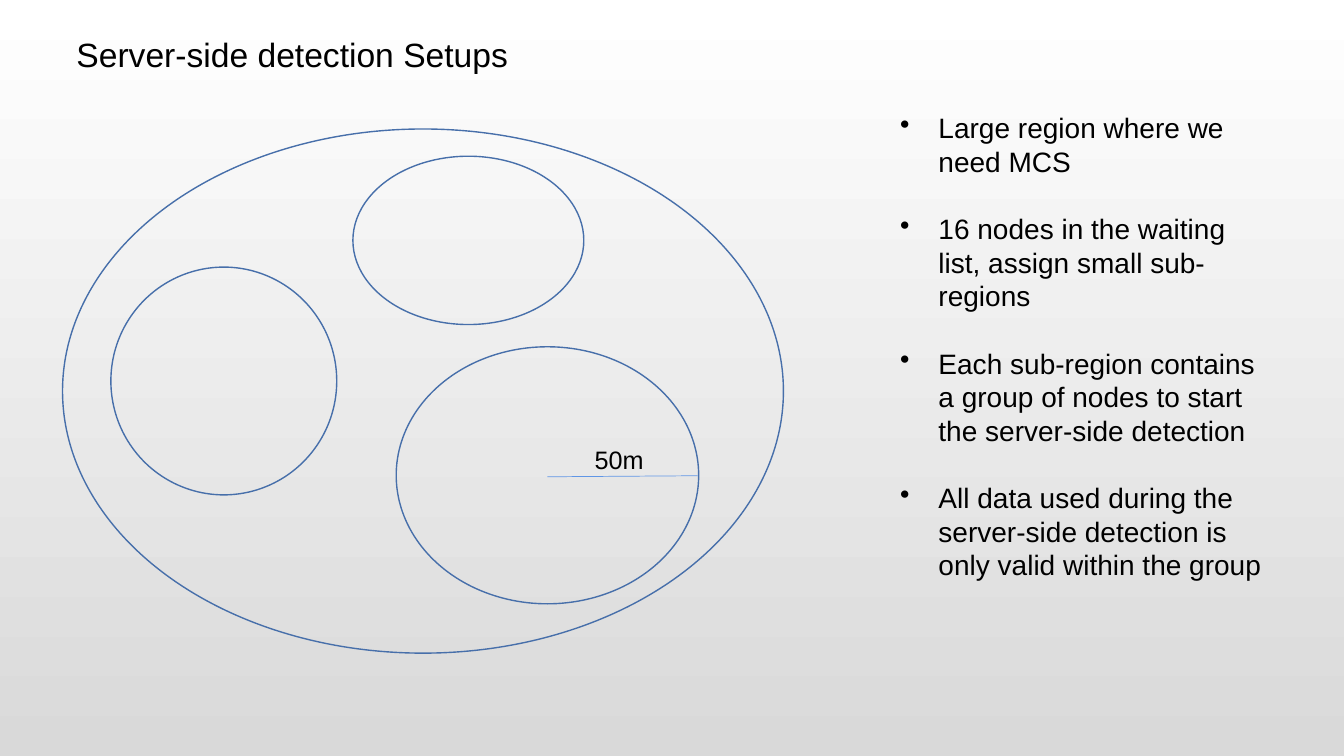
"""Build the slide on server-side detection setups."""
import dataclasses

import lxml.etree
import pptx
import pptx.dml.color
import pptx.enum.shapes
import pptx.enum.text
import pptx.oxml.ns
import pptx.slide
import pptx.text.text
import pptx.util

Inches = pptx.util.Inches
Pt = pptx.util.Pt
qn = pptx.oxml.ns.qn

HUES = {"top": "FFFFFF", "base": "D9D9D9", "text": "000000",
        "ring": "476FAA", "span": "6096E6"}
FONT = "Arial"
INDENT = 0.38


@dataclasses.dataclass
class Box:
    left: float
    top: float
    width: float
    height: float

    def place(self) -> list[pptx.util.Length]:
        return [Inches(n) for n in dataclasses.astuple(self)]


@dataclasses.dataclass
class Label:
    box: Box
    size: int
    lines: list[str]


REGIONS = [
    Box(0.62, 1.28, 7.15, 5.2),
    Box(1.1, 2.65, 2.24, 2.26),
    Box(3.5, 1.55, 2.29, 1.67),
    Box(3.93, 3.44, 3, 2.55),
]
TITLE = Label(Box(0.66, 0.29, 9.05, 0.5), 24, ["Server-side detection Setups"])
RADIUS = Label(Box(5.8, 4.36, 0.73, 0.4), 18, ["50m"])
NOTES = Label(Box(8.83, 1.05, 3.87, 4.48), 20, [
    "Large region where we need MCS",
    "16 nodes in the waiting list, assign small sub-regions",
    "Each sub-region contains a group of nodes to start the server-side detection",
    "All data used during the server-side detection is only valid within the group",
])


def hue(name: str) -> pptx.dml.color.RGBColor:
    return pptx.dml.color.RGBColor.from_string(HUES[name])


def shade(slide: pptx.slide.Slide) -> None:
    fill = slide.background.fill
    fill.gradient()
    fill.gradient_angle = 270
    for stop, name, spot in zip(fill.gradient_stops, ("top", "base"), (0, 1)):
        stop.color.rgb = hue(name)
        stop.position = spot


def draw_ring(slide: pptx.slide.Slide, box: Box) -> None:
    ring = slide.shapes.add_shape(pptx.enum.shapes.MSO_SHAPE.OVAL, *box.place())
    ring.shadow.inherit = False
    ring.fill.background()
    ring.line.color.rgb = hue("ring")
    ring.line.width = Pt(1)


def draw_span(slide: pptx.slide.Slide) -> None:
    ends = [Inches(n) for n in (5.43, 4.73, 6.92, 4.72)]
    span = slide.shapes.add_connector(pptx.enum.shapes.MSO_CONNECTOR.STRAIGHT, *ends)
    span.line.color.rgb = hue("span")
    span.line.width = Pt(0.5)
    lxml.etree.SubElement(span._element.spPr, qn("a:effectLst"))


def write(slide: pptx.slide.Slide, label: Label) -> pptx.text.text.TextFrame:
    frame = slide.shapes.add_textbox(*label.box.place()).text_frame
    frame.word_wrap = True
    frame.auto_size = pptx.enum.text.MSO_AUTO_SIZE.SHAPE_TO_FIT_TEXT
    frame.text = "\n".join(label.lines)
    for para in frame.paragraphs:
        para.font.name = FONT
        para.font.size = Pt(label.size)
        para.font.color.rgb = hue("text")
    return frame


def add_dots(frame: pptx.text.text.TextFrame) -> None:
    for rank, para in enumerate(frame.paragraphs):
        para.line_spacing = Pt(24)
        para.space_before = Pt(24 if rank else 0)
        props = para._p.get_or_add_pPr()
        props.set("marL", str(Inches(INDENT)))
        props.set("indent", str(Inches(-INDENT)))
        dot = lxml.etree.Element(qn("a:buChar"), char="•")
        props.insert_element_before(dot, "a:tabLst", "a:defRPr", "a:extLst")


def main() -> None:
    deck = pptx.Presentation()
    deck.slide_width, deck.slide_height = Inches(13.33), Inches(7.5)
    slide = deck.slides.add_slide(deck.slide_layouts[6])
    shade(slide)
    write(slide, TITLE)
    for box in REGIONS:
        draw_ring(slide, box)
    draw_span(slide)
    write(slide, RADIUS)
    add_dots(write(slide, NOTES))
    deck.save("out.pptx")


main()
